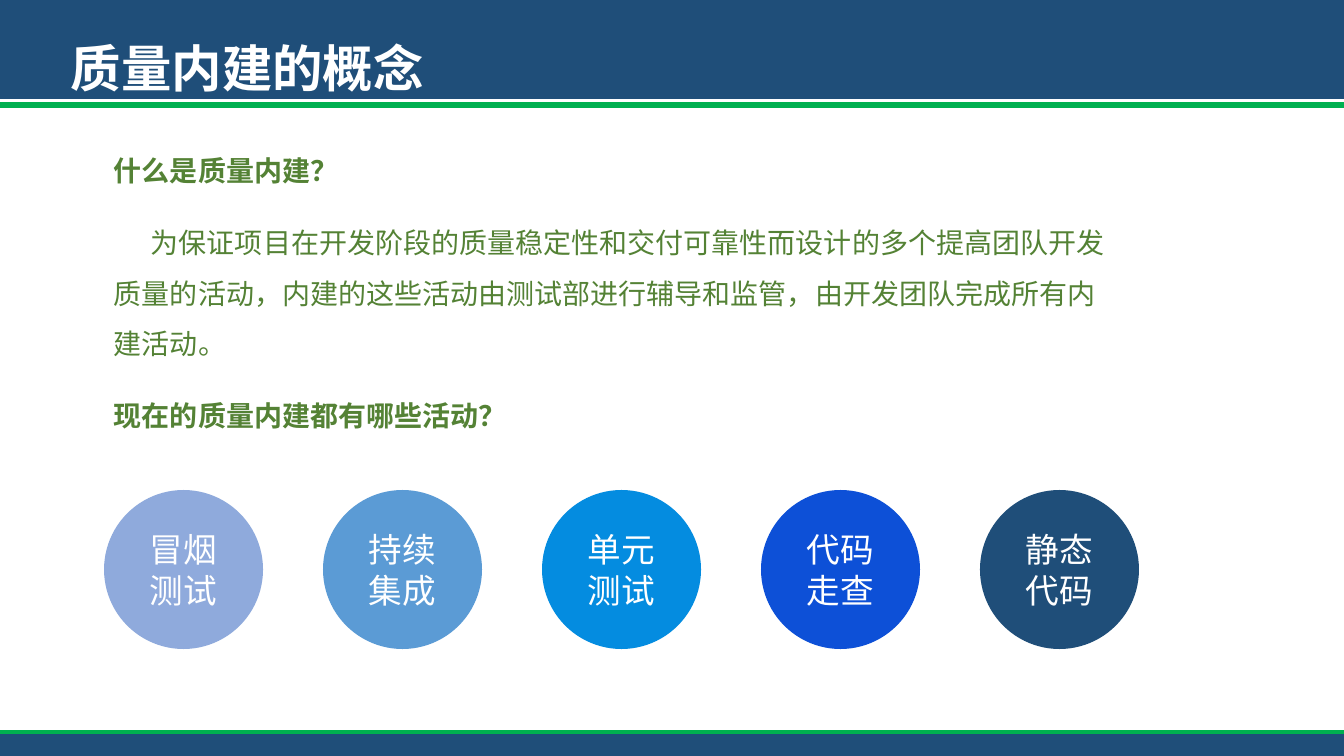
from dataclasses import dataclass

from lxml import etree
from pptx import Presentation
from pptx.dml.color import RGBColor
from pptx.enum.shapes import MSO_CONNECTOR, MSO_SHAPE
from pptx.enum.text import MSO_ANCHOR, MSO_AUTO_SIZE, PP_ALIGN
from pptx.oxml.ns import qn
from pptx.util import Emu, Pt

RECTANGLE, OVAL = MSO_SHAPE.RECTANGLE, MSO_SHAPE.OVAL
STRAIGHT = MSO_CONNECTOR.STRAIGHT
MIDDLE, CENTER = MSO_ANCHOR.MIDDLE, PP_ALIGN.CENTER
GROW = MSO_AUTO_SIZE.SHAPE_TO_FIT_TEXT

WIDTH, HEIGHT = 1344, 756
EMU_PER_PX = 914400 / 100.8


def px(length):
    return Emu(round(length * EMU_PER_PX))


@dataclass(frozen=True)
class Theme:
    font: str = "Noto Sans CJK SC"
    navy: str = "1F4E79"
    rule_green: str = "00B050"
    text_green: str = "548235"
    white: str = "FFFFFF"
    title_size: int = 36
    circle_size: int = 24
    body_size: int = 20


class SlideBuilder:
    def __init__(self, slide, theme):
        self.slide = slide
        self.theme = theme

    def style_text(self, paragraph, size, color, bold=False):
        for run in paragraph.runs:
            run.font.size = Pt(size)
            run.font.bold = bold
            run.font.color.rgb = RGBColor.from_string(color)
            run.font.name = self.theme.font
            east_asian = etree.SubElement(run.font._element, qn("a:ea"))
            east_asian.set("typeface", self.theme.font)

    def shape(self, kind, left, top, width, height, fill):
        shape = self.slide.shapes.add_shape(
            kind, px(left), px(top), px(width), px(height))
        shape.shadow.inherit = False
        shape.fill.solid()
        shape.fill.fore_color.rgb = RGBColor.from_string(fill)
        shape.line.fill.background()
        return shape

    def rule(self, left, right, y, weight):
        line = self.slide.shapes.add_connector(
            STRAIGHT, px(left), px(y), px(right), px(y))
        line.line.color.rgb = RGBColor.from_string(self.theme.rule_green)
        line.line.width = Pt(weight)
        etree.SubElement(line._element.spPr, qn("a:effectLst"))

    def text(self, text, left, top, width, height, size, color,
             bold=False, wrap=True, spacing=None, indent=0):
        box = self.slide.shapes.add_textbox(
            px(left), px(top), px(width), px(height))
        frame = box.text_frame
        frame.text = text
        frame.word_wrap = wrap
        frame.auto_size = GROW
        paragraph = frame.paragraphs[0]
        paragraph.line_spacing = spacing
        if indent:
            paragraph._p.get_or_add_pPr().set("indent", str(px(indent)))
        self.style_text(paragraph, size, color, bold)

    def body(self, text, top, height, bold=False, indent=0):
        self.text(text, 104, top, 1015, height, self.theme.body_size,
                  self.theme.text_green, bold, spacing=1.5, indent=indent)

    def circle(self, text, left, top, diameter, fill):
        circle = self.shape(OVAL, left, top, diameter, diameter, fill)
        frame = circle.text_frame
        frame.text = text
        frame.word_wrap = True
        frame.vertical_anchor = MIDDLE
        frame.paragraphs[0].alignment = CENTER
        self.style_text(frame.paragraphs[0], self.theme.circle_size,
                        self.theme.white)


def main():
    presentation = Presentation()
    presentation.slide_width, presentation.slide_height = px(WIDTH), px(HEIGHT)
    slide = presentation.slides.add_slide(presentation.slide_layouts[6])
    theme = Theme()
    builder = SlideBuilder(slide, theme)

    builder.shape(RECTANGLE, 0, 0, WIDTH, 99, theme.navy)
    builder.rule(0, WIDTH, 105, 4.75)
    builder.shape(RECTANGLE, 0, 732, WIDTH, 24, theme.navy)
    builder.rule(0, WIDTH, 732, 3.25)
    builder.text("质量内建的概念", 61, 32, 377, 72, theme.title_size,
                 theme.white, bold=True, wrap=False)
    builder.rule(49, 1276, 104, 2)

    builder.body("什么是质量内建？", 132, 55, bold=True)
    builder.body("现在的质量内建都有哪些活动？", 377, 61, bold=True)
    builder.body("为保证项目在开发阶段的质量稳定性和交付可靠性而设计的多个提高团队开发"
                 "质量的活动，内建的这些活动由测试部进行辅导和监管，由开发团队完成所有"
                 "内建活动。", 204, 163, indent=37)

    activities = [("冒烟测试", "8FAADC"), ("持续集成", "5B9BD5"),
                  ("单元测试", "048CE0"), ("代码走查", "0D50D7"),
                  ("静态代码", theme.navy)]
    for index, (activity, fill) in enumerate(activities):
        builder.circle(activity, 104 + 219 * index, 490, 159, fill)

    presentation.save("out.pptx")


if __name__ == "__main__":
    main()
